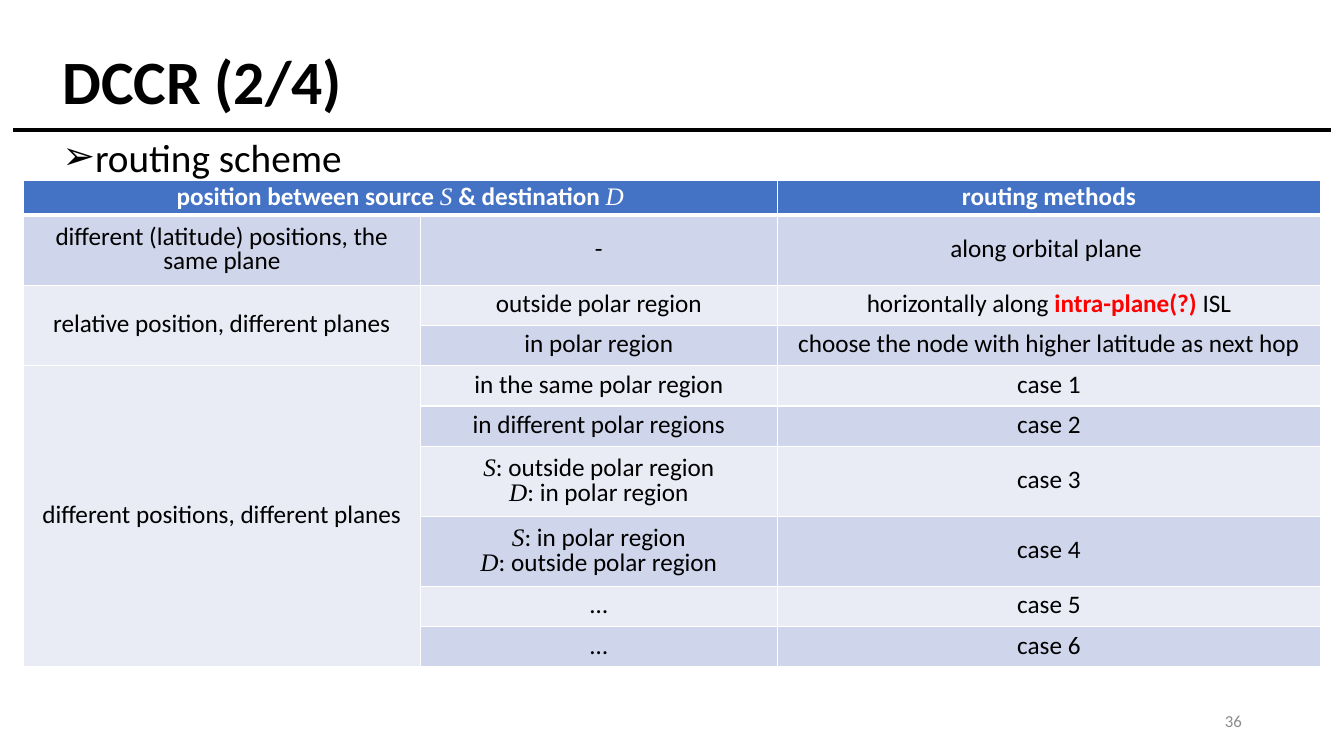
from lxml import etree
from pptx import Presentation
from pptx.dml.color import RGBColor
from pptx.enum import shapes, text
from pptx.oxml import ns
from pptx.util import Pt

TITLE = "DCCR (2/4)"
TOPIC = "routing scheme"
PAGE_NUMBER = "36"

# A cell is a list of lines; a line is a list of (wording, style) runs.
PLAIN = {}
SYMBOL = {"name": "Times New Roman", "bold": False, "italic": True}
ALERT = {"bold": True, "color": "FF0000"}
S, D = ("S", SYMBOL), ("D", SYMBOL)


def line(*runs):
    """One line of runs, where a bare string is a plain run."""
    return [(run, PLAIN) if isinstance(run, str) else run for run in runs]


ROUTES = [
    [[line("position between source ", S, " & destination ", D)], None,
     [line("routing methods")]],
    [[line("different (latitude) positions, the same plane")], [line("-")],
     [line("along orbital plane ")]],
    [[line("relative position, different planes")],
     [line("outside polar region")],
     [line("horizontally along ", ("intra-plane(?)", ALERT), " ISL")]],
    [None, [line("in polar region")],
     [line("choose the node with higher latitude as next hop")]],
    [[line("different positions, different planes")],
     [line("in the same polar region")], [line("case 1")]],
    [None, [line("in different polar regions")], [line("case 2")]],
    [None, [line(S, ": outside polar region"), line(D, ": in polar region")],
     [line("case 3")]],
    [None, [line(S, ": in polar region"), line(D, ": outside polar region")],
     [line("case 4")]],
    [None, [line("…")], [line("case 5")]],
    [None, [line("…")], [line("case 6")]],
]
MERGES = [((0, 0), (0, 1)), ((2, 0), (3, 0)), ((4, 0), (9, 0))]
COLUMN_WIDTHS = [283.7, 254.9, 388.1]
HEADER_HEIGHT, SINGLE_HEIGHT, DOUBLE_HEIGHT = 24.8, 28.8, 50
DOUBLE_ROWS = {1, 6, 7}
HEADER_FILL, BAND_FILLS = "4472C4", ("E9EBF5", "CFD5EA")


def color(hex_value):
    return RGBColor.from_string(hex_value)


def add_run(paragraph, wording, **style):
    run = paragraph.add_run()
    run.text = wording
    values = {"name": "Calibri", "color": "000000", **style}
    run.font.color.rgb = color(values.pop("color"))
    for attribute, value in values.items():
        setattr(run.font, attribute, value)


def add_text(slide, box, anchor):
    """Add an empty text box and return its first paragraph."""
    frame = slide.shapes.add_textbox(*map(Pt, box)).text_frame
    frame.word_wrap = True
    frame.vertical_anchor = anchor
    return frame.paragraphs[0]


def add_borders(cell, widths):
    """Draw white borders; widths maps L, R, T, B to points."""
    properties = cell._tc.get_or_add_tcPr()
    for side, width in widths.items():
        border = etree.SubElement(properties, ns.qn(f"a:ln{side}"), w=str(Pt(width)))
        fill = etree.SubElement(border, ns.qn("a:solidFill"))
        etree.SubElement(fill, ns.qn("a:srgbClr"), val="FFFFFF")


def add_routes(slide):
    heights = [HEADER_HEIGHT] + [
        DOUBLE_HEIGHT if row in DOUBLE_ROWS else SINGLE_HEIGHT
        for row in range(1, len(ROUTES))]
    table = slide.shapes.add_table(
        len(heights), len(COLUMN_WIDTHS), Pt(16.6), Pt(128.9),
        Pt(sum(COLUMN_WIDTHS)), Pt(sum(heights))).table
    for column, width in zip(table.columns, COLUMN_WIDTHS):
        column.width = Pt(width)
    for row, height in zip(table.rows, heights):
        row.height = Pt(height)
    for first, last in MERGES:
        table.cell(*first).merge(table.cell(*last))

    for r, route in enumerate(ROUTES):
        header = r == 0
        base = {"size": Pt(18), "bold": header, "color": "FFFFFF" if header else "000000"}
        for c, lines in enumerate(route):
            cell = table.cell(r, c)
            add_borders(cell, {"L": 1, "R": 1, "T": 3 if r == 1 else 1,
                               "B": 3 if header else 1})
            cell.fill.solid()
            cell.fill.fore_color.rgb = color(HEADER_FILL if header else BAND_FILLS[r % 2])
            cell.vertical_anchor = text.MSO_ANCHOR.MIDDLE
            for i, runs in enumerate(lines or []):
                frame = cell.text_frame
                paragraph = frame.add_paragraph() if i else frame.paragraphs[0]
                paragraph.alignment = text.PP_ALIGN.CENTER
                paragraph.line_spacing = 0.8
                for wording, style in runs:
                    add_run(paragraph, wording, **{**base, **style})


def main():
    deck = Presentation()
    deck.slide_width, deck.slide_height = Pt(960), Pt(540)
    slide = deck.slides.add_slide(deck.slide_layouts[6])

    rule = slide.shapes.add_connector(
        shapes.MSO_CONNECTOR.STRAIGHT, Pt(9.4), Pt(92.9), Pt(950.4), Pt(92.9))
    rule.line.color.rgb = color("000000")
    rule.line.width = Pt(3)
    etree.SubElement(rule._element.spPr, ns.qn("a:effectLst"))

    title = add_text(slide, (37.4, 20.2, 601.9, 80.6), text.MSO_ANCHOR.MIDDLE)
    title.line_spacing = 0.9
    add_run(title, TITLE, size=Pt(44), bold=True)

    topic = add_text(slide, (37.4, 91.4, 884.9, 342.7), text.MSO_ANCHOR.TOP)
    properties = topic._p.get_or_add_pPr()
    properties.set("marL", str(Pt(18)))
    properties.set("indent", str(-Pt(18)))
    etree.SubElement(properties, ns.qn("a:buFont"), typeface="Calibri")
    etree.SubElement(properties, ns.qn("a:buChar"), char="➢")
    add_run(topic, TOPIC, size=Pt(28))

    page = add_text(slide, (678.2, 500.4, 216, 28.8), text.MSO_ANCHOR.MIDDLE)
    page.alignment = text.PP_ALIGN.RIGHT
    add_run(page, PAGE_NUMBER, size=Pt(12), color="8C8C8C")

    add_routes(slide)
    deck.save("out.pptx")


if __name__ == "__main__":
    main()
